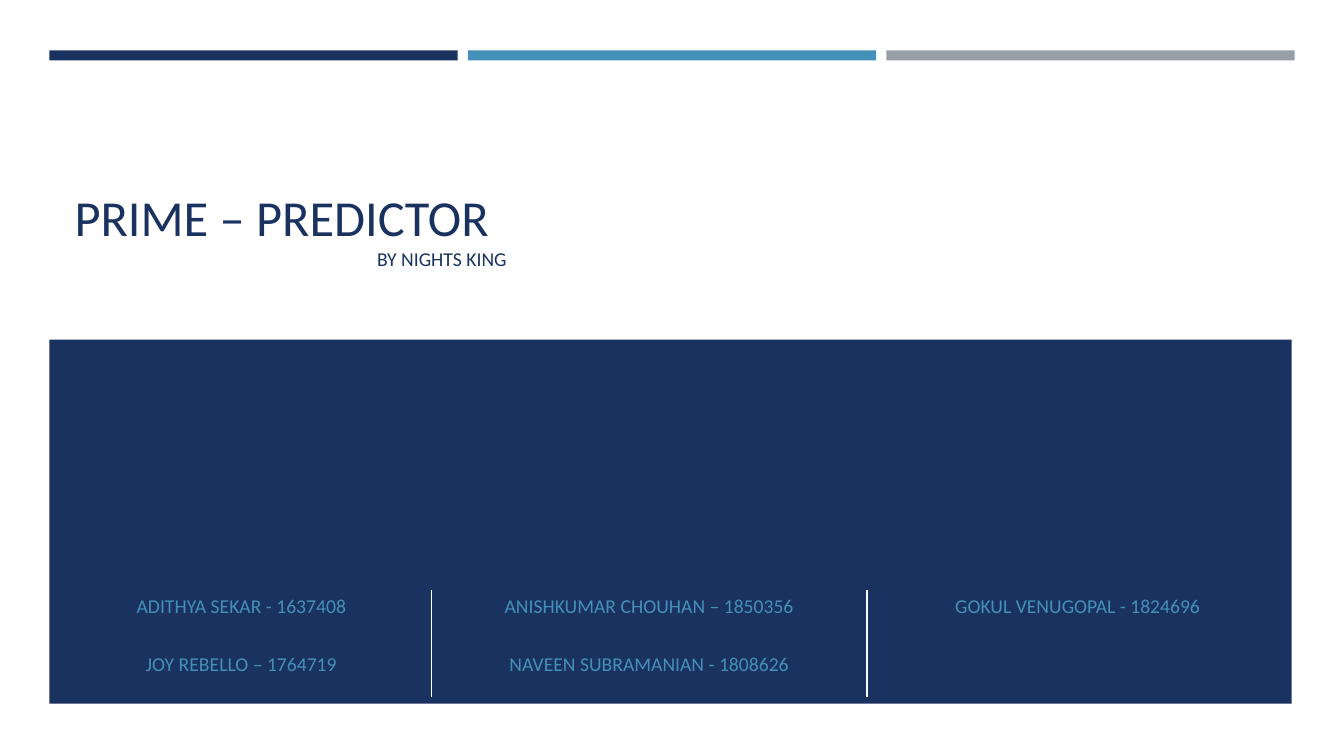
from lxml import etree
from pptx import Presentation
from pptx.dml.color import RGBColor
from pptx.enum.shapes import MSO_SHAPE
from pptx.enum.text import MSO_ANCHOR, MSO_AUTO_SIZE, PP_ALIGN
from pptx.oxml.ns import qn
from pptx.util import Inches, Pt

NAVY = RGBColor(0x1A, 0x32, 0x60)
BLUE = RGBColor(0x45, 0x90, 0xB8)
GREY = RGBColor(0x96, 0x9F, 0xA7)
WHITE = RGBColor(0xFF, 0xFF, 0xFF)
FONT = "Calibri"
RECT = MSO_SHAPE.RECTANGLE
LEFT, CENTER = PP_ALIGN.LEFT, PP_ALIGN.CENTER
TOP, BOTTOM = MSO_ANCHOR.TOP, MSO_ANCHOR.BOTTOM
NO_FIT = MSO_AUTO_SIZE.NONE

TEAM = [
    ["ADITHYA SEKAR - 1637408", "ANISHKUMAR CHOUHAN – 1850356",
     "GOKUL VENUGOPAL - 1824696"],
    ["JOY REBELLO – 1764719", "NAVEEN SUBRAMANIAN - 1808626", ""],
]


def write(para, text, size=14, color=NAVY, align=LEFT, indent=0):
    """Fill a paragraph with formatted text."""
    para.alignment = align
    para.space_before = para.space_after = Pt(0)
    if indent:
        props = para._p.get_or_add_pPr()
        props.set("marL", str(Inches(indent)))
        props.set("indent", "0")
    run = para.add_run()
    run.text = text
    run.font.name = FONT
    run.font.size = Pt(size)
    run.font.color.rgb = color


def block(slide, box, color):
    """Draw a plain filled rectangle."""
    shape = slide.shapes.add_shape(RECT, *map(Inches, box))
    shape.shadow.inherit = False
    shape.fill.solid()
    shape.fill.fore_color.rgb = color
    shape.line.fill.background()


def bars(slide, box, gap=0.1):
    """Draw three equal bars across the box."""
    left, top, width, height = box
    colors = (NAVY, BLUE, GREY)
    size = (width - gap * (len(colors) - 1)) / len(colors)
    for i, color in enumerate(colors):
        block(slide, (left + i * (size + gap), top, size, height), color)


def heading(slide, box):
    """Place the title with its indented byline."""
    title = slide.shapes.title
    title.left, title.top, title.width, title.height = map(Inches, box)
    frame = title.text_frame
    frame.word_wrap = True
    frame.auto_size = NO_FIT
    frame.vertical_anchor = BOTTOM
    write(frame.paragraphs[0], "PRIME – PREDICTOR", size=36)
    write(frame.add_paragraph(), "BY NIGHTS KING", indent=3)


def border(cell, sides):
    """Show white lines on the named sides and hide the others."""
    props = cell._tc.get_or_add_tcPr()
    for side in "LRTB":
        line = etree.SubElement(props, qn(f"a:ln{side}"), w=str(Pt(1)))
        if side in sides:
            fill = etree.SubElement(line, qn("a:solidFill"))
            etree.SubElement(fill, qn("a:srgbClr"), val=str(WHITE))
        else:
            etree.SubElement(line, qn("a:noFill"))


def team(slide, box):
    """Place the table of members, split by vertical lines."""
    count = len(TEAM[0])
    frame = slide.shapes.add_table(len(TEAM), count, *map(Inches, box))
    table = frame.table
    table.first_row = table.horz_banding = False
    for col, width in zip(table.columns, (3.77, 4.32, 4.18)):
        col.width = Inches(width)
    for row, height in zip(table.rows, (0.58, 0.48)):
        row.height = Inches(height)
    for r, names in enumerate(TEAM):
        for c, name in enumerate(names):
            cell = table.cell(r, c)
            sides = ("L" if c else "") + ("R" if c < count - 1 else "")
            border(cell, sides)
            cell.fill.background()
            cell.vertical_anchor = TOP
            if name:
                write(cell.text_frame.paragraphs[0], name,
                      color=BLUE, align=CENTER)


def cover(deck):
    """Build the cover slide."""
    slide = deck.slides.add_slide(deck.slide_layouts[0])
    sub = slide.placeholders[1].element
    sub.getparent().remove(sub)
    bars(slide, (0.49, 0.5, 12.35, 0.1))
    block(slide, (0.49, 3.37, 12.32, 3.61), NAVY)
    heading(slide, (0.64, 1.12, 12.02, 1.61))
    team(slide, (0.51, 5.85, 12.27, 1.06))


deck = Presentation()
deck.slide_width = Inches(13.33)
deck.slide_height = Inches(7.5)
cover(deck)
deck.save("out.pptx")
